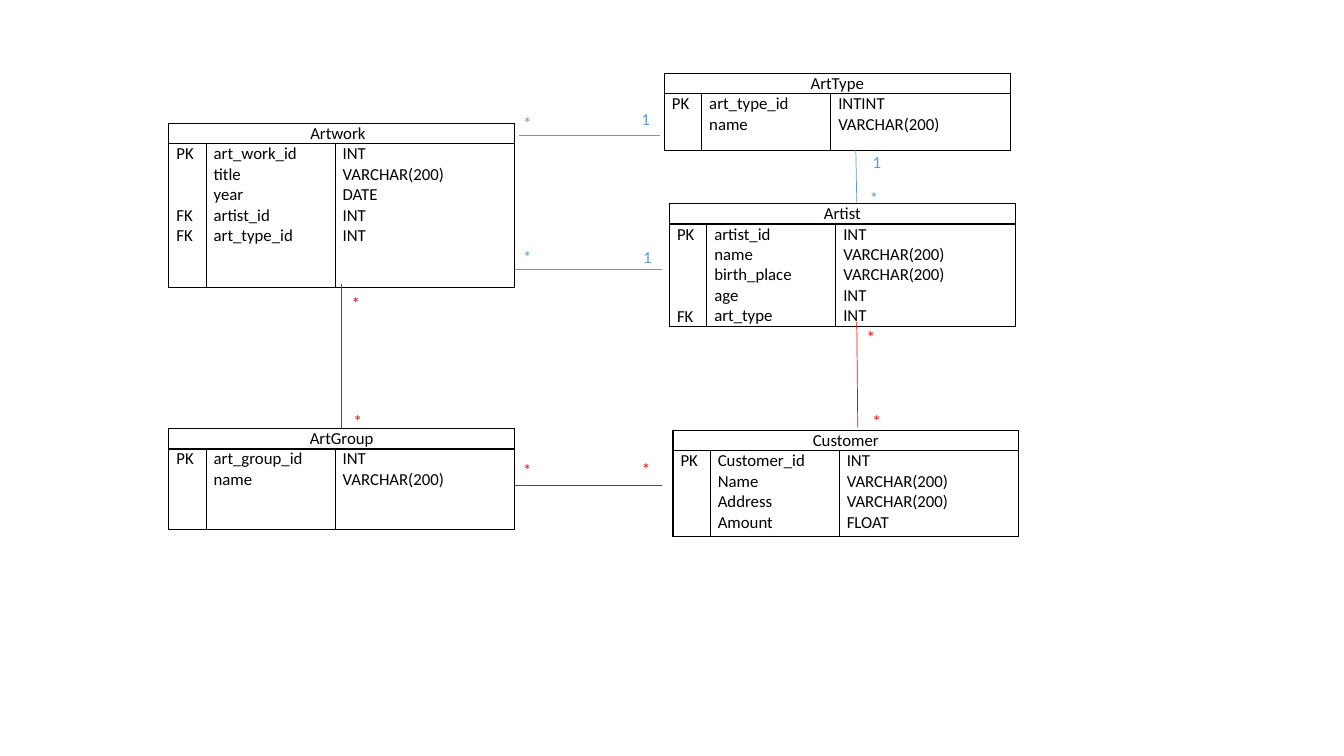
"""Build an entity diagram of an art gallery database."""
from lxml import etree
from pptx import Presentation
from pptx.dml.color import RGBColor
from pptx.enum.shapes import MSO_CONNECTOR
from pptx.enum.text import MSO_ANCHOR, MSO_AUTO_SIZE, PP_ALIGN
from pptx.oxml import parse_xml
from pptx.oxml.ns import nsdecls, qn
from pptx.util import Pt

LEFT, CENTER = PP_ALIGN.LEFT, PP_ALIGN.CENTER
TOP, GROW = MSO_ANCHOR.TOP, MSO_AUTO_SIZE.SHAPE_TO_FIT_TEXT
STRAIGHT = MSO_CONNECTOR.STRAIGHT
BLACK = RGBColor(0x00, 0x00, 0x00)
BLUE = RGBColor(0x5B, 0x9B, 0xD5)
RED = RGBColor(0xFF, 0x00, 0x00)
ROW = 14.65
COLS = (26.64, 92.16, 128.2)


def write(frame, text, color=BLACK, align=LEFT, gap=0):
    for i, line in enumerate(text.split("\n")):
        para = frame.paragraphs[0] if i == 0 else frame.add_paragraph()
        para.alignment = align
        if i == 1 and gap:
            para.space_before = Pt(gap)
        run = para.add_run()
        run.text = line
        run.font.name, run.font.size = "Calibri", Pt(12)
        run.font.bold = False
        run.font.color.rgb = color


def style(cell):
    cell.margin_left = cell.margin_right = Pt(5.4)
    cell.margin_top = cell.margin_bottom = Pt(0)
    cell.vertical_anchor = TOP
    props = cell._tc.get_or_add_tcPr()
    for side in ("lnL", "lnR", "lnT", "lnB"):
        props.append(parse_xml(
            f'<a:{side} {nsdecls("a")} w="12700"><a:solidFill>'
            f'<a:srgbClr val="{BLACK}"/></a:solidFill></a:{side}>'))
    cell.fill.background()


deck = Presentation()
deck.slide_width, deck.slide_height = Pt(960), Pt(540)
slide = deck.slides.add_slide(deck.slide_layouts[6])
shapes = slide.shapes

tables = [
    ("Artwork", 120.6, 88, 102.9, "PK\nFK\nFK",
     "art_work_id\ntitle\nyear\nartist_id\nart_type_id",
     "INT\nVARCHAR(200)\nDATE\nINT\nINT", 2, 10.8),
    ("ArtType", 474.6, 52.4, 40.6, "PK",
     "art_type_id\nname", "INTINT\nVARCHAR(200)", 0, 5.4),
    ("Artist", 478.2, 145.4, 73.25, "PK\nFK",
     "artist_id\nname\nbirth_place\nage\nart_type",
     "INT\nVARCHAR(200)\nVARCHAR(200)\nINT\nINT", 3, 5.4),
    ("ArtGroup", 120.6, 306, 57.4, "PK",
     "art_group_id\nname", "INT\nVARCHAR(200)", 0, 5.4),
    ("Customer", 480.7, 307.4, 60.9, "PK",
     "Customer_id\nName\nAddress\nAmount",
     "INT\nVARCHAR(200)\nVARCHAR(200)\nFLOAT", 0, 5.4),
]
for name, x, y, high, keys, fields, types, skip, inset in tables:
    frame = shapes.add_table(2, 3, Pt(x), Pt(y), Pt(sum(COLS)), Pt(ROW + high))
    table = frame.table
    table.first_row = table.horz_banding = False
    table.rows[0].height, table.rows[1].height = Pt(ROW), Pt(high)
    for col, wide in zip(table.columns, COLS):
        col.width = Pt(wide)
    for cell in table.iter_cells():
        style(cell)
    head = table.cell(0, 0)
    head.merge(table.cell(0, 2))
    head.margin_right = Pt(inset)
    write(head.text_frame, name, align=CENTER)
    for i, text in enumerate((keys, fields, types)):
        gap = skip * ROW if i == 0 else 0
        write(table.cell(1, i).text_frame, text, gap=gap)

links = [
    (367.9, 192.2, 473, 192.2, BLUE),
    (244.1, 203, 244.1, 306, RED),
    (370.8, 96.5, 471.6, 96.5, BLUE),
    (612, 229.7, 612.7, 305.3, RED),
    (367.9, 347, 473, 347, RED),
    (611.3, 107.3, 612, 144.7, BLUE),
]
for x, y, right, low, color in links:
    link = shapes.add_connector(STRAIGHT, Pt(x), Pt(y), Pt(right), Pt(low))
    link.line.color.rgb, link.line.width = color, Pt(0.5)
    etree.SubElement(link._element.spPr, qn("a:effectLst"))

marks = [
    ("1", 452.2, 172.4, BLUE), ("*", 366.5, 172.4, BLUE),
    ("*", 245.5, 289.7, RED), ("*", 244.1, 205.9, RED),
    ("1", 451, 74.2, BLUE), ("*", 366.5, 77, BLUE),
    ("*", 616.3, 289.7, RED), ("*", 612, 229.7, RED),
    ("*", 366.5, 324.7, RED), ("*", 451.4, 324, RED),
    ("1", 616.3, 105.1, BLUE), ("*", 614.2, 130.8, BLUE),
]
for text, x, y, color in marks:
    box = shapes.add_textbox(Pt(x), Pt(y), Pt(20.9), Pt(21.6))
    box.text_frame.word_wrap = False
    box.text_frame.auto_size = GROW
    write(box.text_frame, text, color=color)

deck.save("out.pptx")
